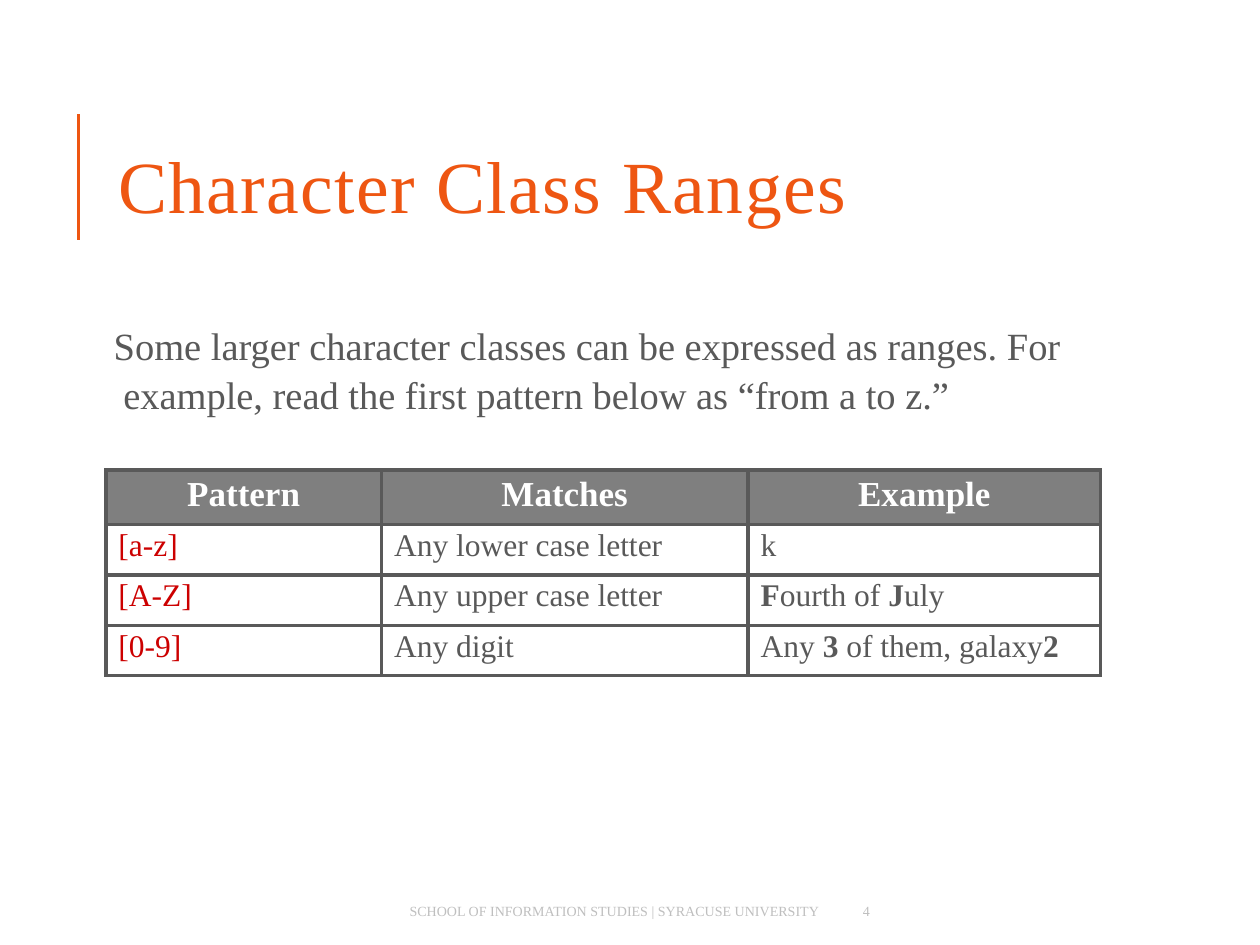
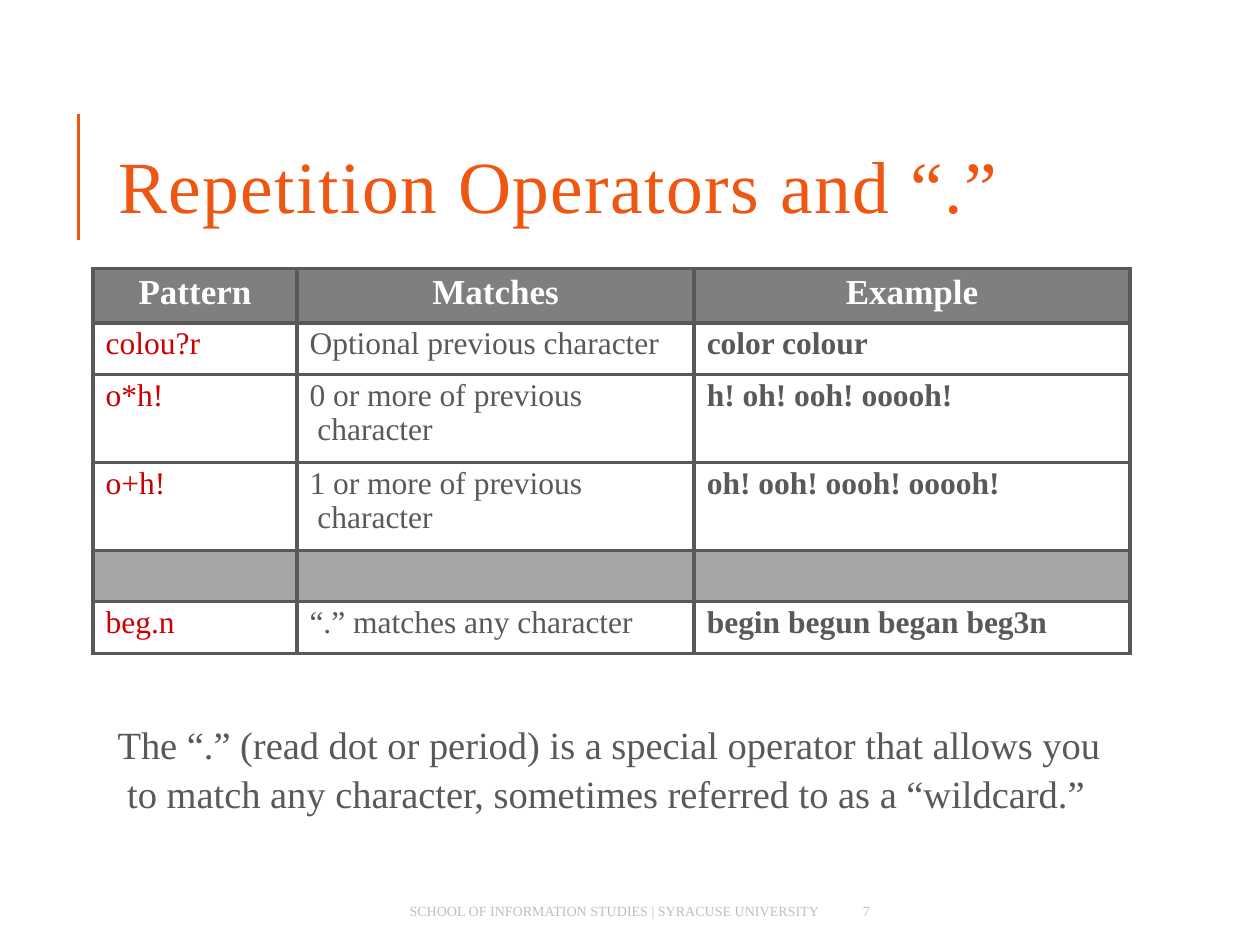
from lxml.etree import SubElement
from pptx import Presentation
from pptx.dml.color import RGBColor
from pptx.enum.shapes import MSO_CONNECTOR
from pptx.enum.text import MSO_ANCHOR, MSO_AUTO_SIZE, PP_ALIGN
from pptx.oxml import parse_xml
from pptx.oxml.ns import nsdecls, qn
from pptx.util import Pt

FONT = "Times New Roman"
ORANGE, TEXT, RED, WHITE = "EE5612", "595959", "CC0000", "FFFFFF"
HEADER_FILL, SPACER_FILL, FOOTER_COLOR = "7F7F7F", "A6A6A6", "BFBFBF"
FOOTER = "SCHOOL OF INFORMATION STUDIES | SYRACUSE UNIVERSITY"
HEADINGS = ("Pattern", "Matches", "Example")
SPACER = ("", "", "")

# Bold passages in table cells stand between bars.
SLIDES = [
    {
        "title": "Character Class Ranges",
        "number": "4",
        "body": "Some larger character classes can be expressed as ranges. "
                "For example, read the first pattern below as “from a to z.”",
        "body_at": (64, 182.5, 544, 56),
        "table_at": (60.5, 268.5),
        "columns": (157.5, 209.5, 201.5),
        "heights": (31.2, 28.8, 28.8, 28.8),
        "rows": [
            HEADINGS,
            ("[a-z]", "Any lower case letter", "k"),
            ("[A-Z]", "Any upper case letter", "|F|ourth of |J|uly"),
            ("[0-9]", "Any digit", "Any |3| of them, galaxy|2|"),
        ],
    },
    {
        "title": "Repetition Operators and “.”",
        "number": "7",
        "body": "The “.” (read dot or period) is a special operator that allows you "
                "to match any character, sometimes referred to as a “wildcard.”",
        "body_at": (66.2, 410.3, 566, 56),
        "table_at": (53.2, 153.3),
        "columns": (116.5, 227, 249),
        "heights": (31.2, 29.4, 50.4, 50.4, 29.2, 29.4),
        "rows": [
            HEADINGS,
            ("colou?r", "Optional previous character", "|color colour|"),
            ("o*h!", "0 or more of previous character", "|h! oh! ooh! ooooh!|"),
            ("o+h!", "1 or more of previous character", "|oh! ooh! oooh! ooooh!|"),
            SPACER,
            ("beg.n", "“.” matches any character", "|begin begun began beg3n|"),
        ],
    },
]


def rgb(color):
    return RGBColor.from_string(color)


def style(paragraph, size, color, bold=False):
    font = paragraph.font
    font.name, font.size, font.bold = FONT, Pt(size), bold
    font.color.rgb = rgb(color)


def hang(paragraph, left, step):
    properties = paragraph._p.get_or_add_pPr()
    properties.set("marL", str(Pt(left + step)))
    properties.set("indent", str(Pt(-step)))
    return properties


def fill_text(shape, at, text, size, color, anchor=MSO_ANCHOR.TOP):
    shape.left, shape.top, shape.width, shape.height = map(Pt, at)
    frame = shape.text_frame
    frame.margin_left = frame.margin_right = frame.margin_top = frame.margin_bottom = 0
    frame.word_wrap, frame.auto_size = True, MSO_AUTO_SIZE.NONE
    frame.vertical_anchor = anchor
    frame.text = text
    paragraph = frame.paragraphs[0]
    paragraph.alignment, paragraph.space_before = PP_ALIGN.LEFT, Pt(0)
    return paragraph, size, color


def add_title(page, text):
    paragraph, size, color = fill_text(
        page.shapes.title, (67.5, 77.8, 620, 52.5), text, 42, ORANGE, MSO_ANCHOR.BOTTOM)
    style(paragraph, size, color)
    paragraph._p.pPr.find(qn("a:defRPr")).set("spc", "85")
    bar = page.shapes.add_connector(
        MSO_CONNECTOR.STRAIGHT, Pt(45), Pt(137), Pt(45), Pt(65))
    bar.line.color.rgb, bar.line.width = rgb(ORANGE), Pt(2)
    SubElement(bar._element.spPr, qn("a:effectLst"))


def add_body(page, text, at):
    paragraph, size, color = fill_text(page.placeholders[1], at, text, 22, TEXT)
    paragraph.line_spacing = 1.06
    SubElement(hang(paragraph, 1, 5.5), qn("a:buNone"))
    style(paragraph, size, color)


def add_footer(page, number):
    for text, left, width in ((FOOTER, 234, 240), (number, 493, 12)):
        box = page.shapes.add_textbox(0, 0, 0, 0)
        style(*fill_text(box, (left, 515.5, width, 11), text, 8, FOOTER_COLOR))


def add_borders(cell):
    properties = cell._tc.get_or_add_tcPr()
    for index, side in enumerate(("lnL", "lnR", "lnT", "lnB")):
        properties.insert(index, parse_xml(
            f'<a:{side} {nsdecls("a")} w="{Pt(2.25)}"><a:solidFill>'
            f'<a:srgbClr val="{TEXT}"/></a:solidFill></a:{side}>'))


def fill_cell(cell, text, column, row):
    cell.margin_left = cell.margin_right = cell.margin_bottom = 0
    cell.margin_top = Pt(2.9)
    is_header = row is HEADINGS
    if is_header or row is SPACER:
        cell.fill.solid()
        cell.fill.fore_color.rgb = rgb(HEADER_FILL if is_header else SPACER_FILL)
    else:
        cell.fill.background()
    add_borders(cell)
    paragraph = cell.text_frame.paragraphs[0]
    if is_header:
        paragraph.alignment = PP_ALIGN.CENTER
        style(paragraph, 20, WHITE, True)
    else:
        hang(paragraph, 7.2, 4.5)
        paragraph.line_spacing = 0.97
        style(paragraph, 18, RED if column == 0 else TEXT)
    for index, part in enumerate(text.split("|")):
        if part:
            span = paragraph.add_run()
            span.text = part
            if index % 2:
                span.font.bold = True


def add_pattern_table(page, at, columns, heights, rows):
    left, top = at
    table = page.shapes.add_table(
        len(rows), len(columns), Pt(left), Pt(top), Pt(sum(columns)), Pt(sum(heights))).table
    table.first_row = table.horz_banding = False
    for column, width in zip(table.columns, columns):
        column.width = Pt(width)
    for row_index, (row, height) in enumerate(zip(rows, heights)):
        table.rows[row_index].height = Pt(height)
        for column_index, text in enumerate(row):
            fill_cell(table.cell(row_index, column_index), text, column_index, row)


def main():
    deck = Presentation()
    deck.slide_width, deck.slide_height = Pt(720), Pt(540)
    for content in SLIDES:
        page = deck.slides.add_slide(deck.slide_layouts[1])
        add_title(page, content["title"])
        add_footer(page, content["number"])
        add_body(page, content["body"], content["body_at"])
        add_pattern_table(page, content["table_at"], content["columns"],
                          content["heights"], content["rows"])
    deck.save("out.pptx")


if __name__ == "__main__":
    main()
